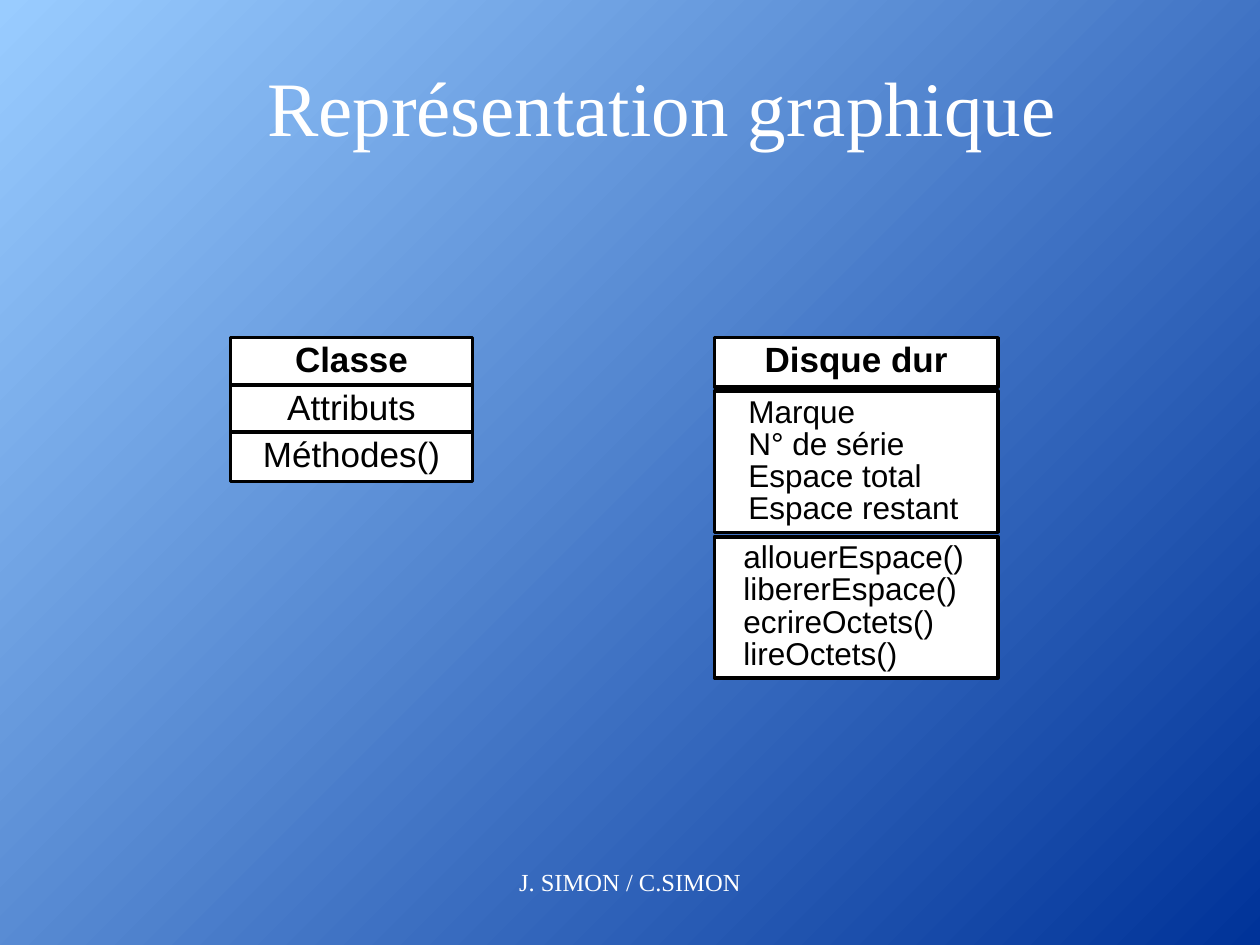
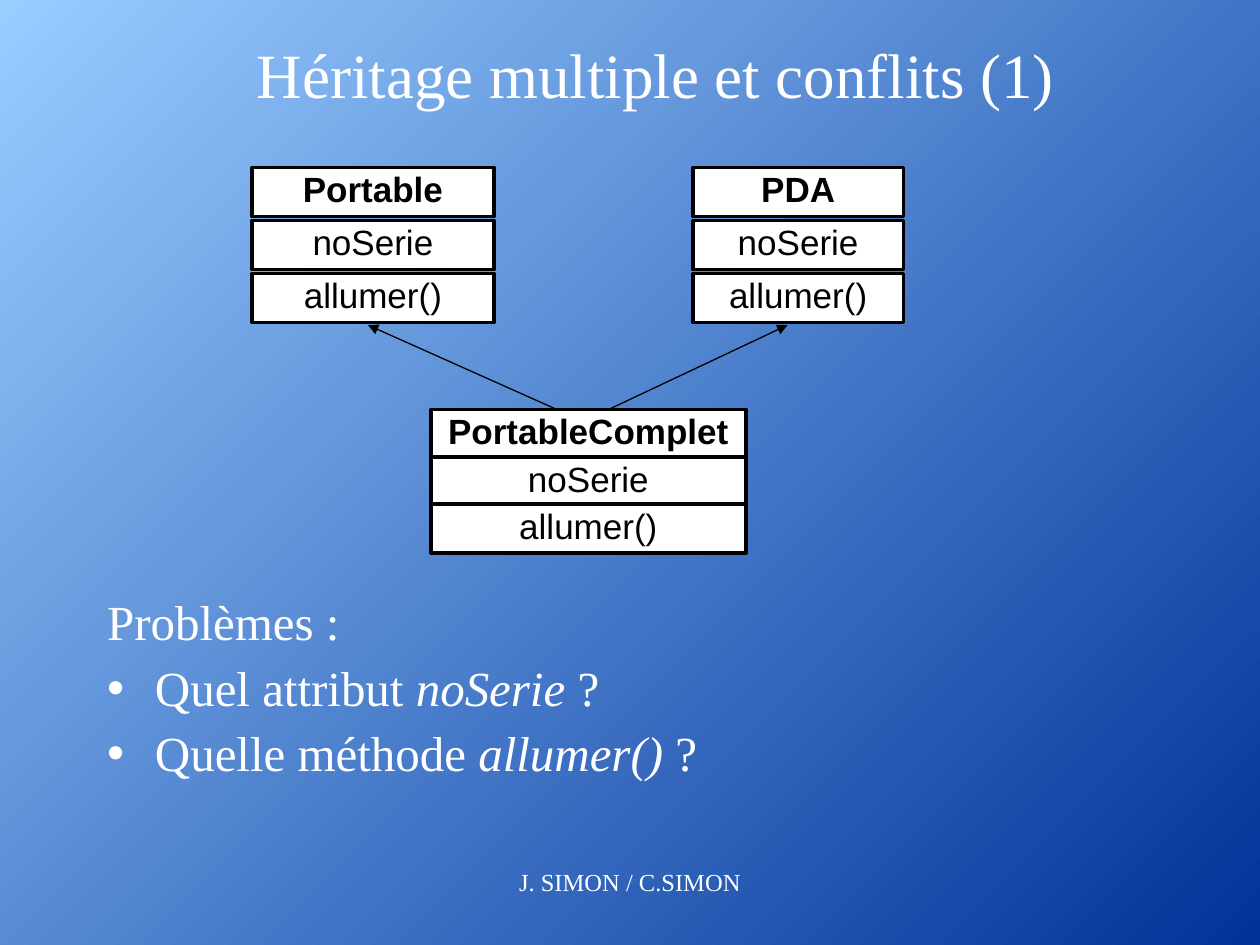
"""Build two slides on UML class boxes and multiple inheritance."""
from dataclasses import dataclass

import pptx
import pptx.dml.color
import pptx.enum.shapes
import pptx.enum.text
import pptx.oxml.ns
import pptx.util
from lxml import etree
from pptx.util import Inches

RGB = pptx.dml.color.RGBColor.from_string
ALIGN = pptx.enum.text.PP_ALIGN
ANCHOR = pptx.enum.text.MSO_ANCHOR
qn = pptx.oxml.ns.qn


@dataclass(frozen=True)
class Theme:
    """Colours, fonts and type sizes of the deck."""
    light: str = "99CCFF"
    dark: str = "003399"
    text: str = "FFFFFF"
    box: str = "FFFFFF"
    ink: str = "000000"
    serif: str = "Times New Roman"
    sans: str = "Arial"
    title: int = 44
    long_title: int = 36
    body: int = 28
    cell: int = 20
    members: int = 18
    footer: int = 14


@dataclass(frozen=True)
class Row:
    """One compartment of a class box; an indent makes its lines a left-aligned list."""
    lines: tuple[str, ...]
    bold: bool = False
    height: float = 0.39
    indent: float | None = None


@dataclass(frozen=True)
class ClassBox:
    """A class whose rows are spread evenly between top and bottom."""
    left: float
    top: float
    width: float
    bottom: float
    rows: tuple[Row, ...]


@dataclass(frozen=True)
class Arrow:
    """A straight line with its head at the end point."""
    start: tuple[float, float]
    end: tuple[float, float]


T = Theme()


def simple_rows(name: str, attribute: str, method: str) -> tuple[Row, ...]:
    """Return the three one-line rows of a small class."""
    return Row((name,), bold=True), Row((attribute,)), Row((method,))


GENERIC_CLASS = ClassBox(1.83, 2.68, 1.92, 3.82, simple_rows("Classe", "Attributs", "Méthodes()"))
HARD_DISK = ClassBox(5.67, 2.68, 2.25, 5.38, (
    Row(("Disque dur",), bold=True),
    Row(("Marque", "N° de série", "Espace total", "Espace restant"), height=1.12, indent=0.27),
    Row(("allouerEspace()", "libererEspace()", "ecrireOctets()", "lireOctets()"),
        height=1.12, indent=0.23),
))
INHERITANCE = (
    ClassBox(2, 1.33, 1.92, 2.56, simple_rows("Portable", "noSerie", "allumer()")),
    ClassBox(5.5, 1.33, 1.67, 2.56, simple_rows("PDA", "noSerie", "allumer()")),
    ClassBox(3.42, 3.25, 2.5, 4.39, simple_rows("PortableComplet", "noSerie", "allumer()")),
)
ARROWS = (Arrow((4.83, 3.25), (6.25, 2.58)), Arrow((4.42, 3.25), (2.92, 2.58)))
QUESTIONS = (("Quel attribut ", "noSerie", " ?"), ("Quelle méthode ", "allumer()", " ?"))


def set_font(p, size: int, name: str, color: str, bold: bool = False) -> None:
    """Set the font of a whole paragraph."""
    f = p.font
    f.size, f.name, f.bold = pptx.util.Pt(size), name, bold
    f.color.rgb = RGB(color)


def place(sp, left: float, top: float, width: float, height: float) -> None:
    """Move and size a placeholder."""
    sp.left, sp.top, sp.width, sp.height = map(Inches, (left, top, width, height))


def paint_background(prs) -> None:
    """Give the master the diagonal blue gradient."""
    fill = prs.slide_master.background.fill
    fill.gradient()
    fill.gradient_angle = 135
    for stop, color in zip(fill.gradient_stops, (T.dark, T.light)):
        stop.color.rgb = RGB(color)


def add_slide(prs, layout: int, title: str, size: int,
              box: tuple[float, float, float, float]):
    """Add a slide with its title and footer."""
    s = prs.slides.add_slide(prs.slide_layouts[layout])
    place(s.shapes.title, *box)
    tf = s.shapes.title.text_frame
    tf.text = title
    tf.auto_size = pptx.enum.text.MSO_AUTO_SIZE.NONE
    tf.vertical_anchor = ANCHOR.MIDDLE
    p = tf.paragraphs[0]
    p.alignment = ALIGN.CENTER
    set_font(p, size, T.serif, T.text)

    tf = s.shapes.add_textbox(Inches(3), Inches(6.83), Inches(4), Inches(0.5)).text_frame
    tf.word_wrap = True
    p = tf.paragraphs[0]
    p.text = "J. SIMON / C.SIMON"
    p.alignment = ALIGN.CENTER
    set_font(p, T.footer, T.serif, T.text)
    return s


def draw_row(s, row: Row, left: float, top: float, width: float) -> None:
    """Draw one compartment with its text."""
    sp = s.shapes.add_shape(pptx.enum.shapes.MSO_SHAPE.RECTANGLE,
                            Inches(left), Inches(top), Inches(width), Inches(row.height))
    sp.shadow.inherit = False
    sp.fill.solid()
    sp.fill.fore_color.rgb = RGB(T.box)
    sp.line.color.rgb = RGB(T.ink)
    sp.line.width = pptx.util.Pt(2)
    tf = sp.text_frame
    tf.word_wrap = True
    tf.vertical_anchor = ANCHOR.MIDDLE
    is_list = row.indent is not None
    if is_list:
        tf.margin_left = Inches(row.indent)
    tf.text = "\n".join(row.lines)
    for p in tf.paragraphs:
        p.alignment = ALIGN.LEFT if is_list else ALIGN.CENTER
        p.line_spacing = 0.85
        set_font(p, T.members if is_list else T.cell, T.sans, T.ink, row.bold)


def draw_class(s, box: ClassBox) -> None:
    """Draw a class from its name row down."""
    spare = box.bottom - box.top - sum(row.height for row in box.rows)
    gap = spare / (len(box.rows) - 1)
    top = box.top
    for row in box.rows:
        draw_row(s, row, box.left, top, box.width)
        top += row.height + gap


def draw_arrow(s, arrow: Arrow) -> None:
    """Draw an inheritance arrow."""
    sp = s.shapes.add_connector(pptx.enum.shapes.MSO_CONNECTOR.STRAIGHT,
                                *map(Inches, arrow.start + arrow.end))
    sp.line.color.rgb = RGB(T.ink)
    sp.line.width = pptx.util.Pt(0.75)
    props = sp.element.spPr
    etree.SubElement(props.find(qn("a:ln")), qn("a:tailEnd"), type="triangle")
    etree.SubElement(props, qn("a:effectLst"))


def format_body(p, bullet: bool) -> None:
    """Format a body paragraph, with or without a bullet."""
    p.line_spacing = 0.9
    p.space_before = pptx.util.Pt(7 if bullet else 0)
    props = p._p.get_or_add_pPr()
    props.set("marL", str(Inches(0.38)))
    props.set("indent", str(-Inches(0.38)))
    if bullet:
        color = etree.SubElement(props, qn("a:buClr"))
        etree.SubElement(color, qn("a:srgbClr"), val=T.text)
        etree.SubElement(props, qn("a:buChar"), char="•")
    else:
        etree.SubElement(props, qn("a:buNone"))
    set_font(p, T.body, T.serif, T.text)


def fill_problems(sp) -> None:
    """Write the list of conflicts into the body placeholder."""
    place(sp, 0.75, 4.75, 8.5, 1.75)
    tf = sp.text_frame
    tf.auto_size = pptx.enum.text.MSO_AUTO_SIZE.NONE
    tf.vertical_anchor = ANCHOR.TOP
    tf.margin_top = tf.margin_bottom = 0
    tf.text = "Problèmes :"
    format_body(tf.paragraphs[0], bullet=False)
    for before, member, after in QUESTIONS:
        p = tf.add_paragraph()
        format_body(p, bullet=True)
        for text in (before, member, after):
            r = p.add_run()
            r.text = text
            if text == member:
                r.font.italic = True


def main() -> None:
    """Build and save the deck."""
    prs = pptx.Presentation()
    prs.slide_width, prs.slide_height = Inches(10), Inches(7.5)
    paint_background(prs)

    s = add_slide(prs, 5, "Représentation graphique", T.title, (1.92, 0.5, 6.67, 0.67))
    for box in (GENERIC_CLASS, HARD_DISK):
        draw_class(s, box)

    s = add_slide(prs, 1, "Héritage multiple et conflits (1)", T.long_title,
                  (1.83, 0.25, 6.75, 0.67))
    for arrow in ARROWS:
        draw_arrow(s, arrow)
    for box in INHERITANCE:
        draw_class(s, box)
    fill_problems(s.placeholders[1])

    prs.save("out.pptx")


if __name__ == "__main__":
    main()
